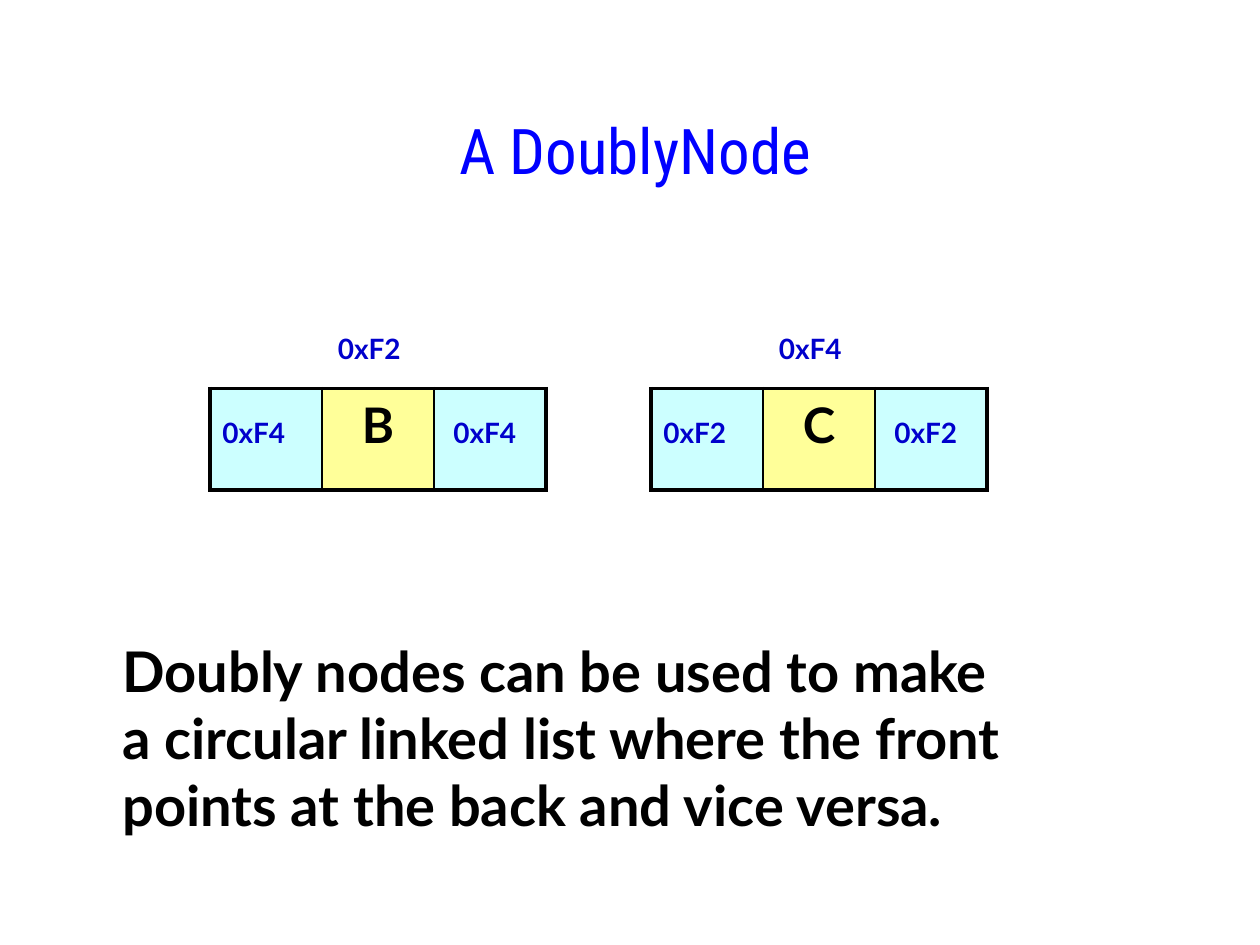
from lxml.etree import SubElement
from pptx import Presentation
from pptx.dml.color import RGBColor
from pptx.enum.text import MSO_AUTO_SIZE, PP_ALIGN
from pptx.oxml.ns import qn
from pptx.util import Pt

TITLE = {"name": "Roboto Condensed", "size": Pt(36), "color": "0000FF"}
ADDRESS = {"name": "Lato", "size": Pt(16), "bold": True, "color": "0000CC"}
VALUE = {"name": "Lato", "size": Pt(28), "bold": True, "color": "000000"}
BODY = {**VALUE, "size": Pt(32)}
CELL_WIDTH, CELL_HEIGHT = 64, 58
THICK, THIN = 2.25, 1


def color(hex_string):
    """Return the colour for a hex string."""
    return RGBColor.from_string(hex_string)


def write_lines(frame, lines, style, alignment=PP_ALIGN.LEFT):
    """Write each line as a paragraph in the given style."""
    for index, line in enumerate(lines):
        paragraph = frame.add_paragraph() if index else frame.paragraphs[0]
        paragraph.alignment = alignment
        run = paragraph.add_run()
        run.text = line
        for attribute, value in style.items():
            if attribute == "color":
                run.font.color.rgb = color(value)
            else:
                setattr(run.font, attribute, value)


def add_text(slide, box, lines, style, alignment=PP_ALIGN.LEFT, wrap=True, grow=True):
    """Add a text box at left, top, width and height in points."""
    frame = slide.shapes.add_textbox(*map(Pt, box)).text_frame
    frame.word_wrap = wrap
    frame.auto_size = MSO_AUTO_SIZE.SHAPE_TO_FIT_TEXT if grow else MSO_AUTO_SIZE.NONE
    write_lines(frame, lines, style, alignment)


def set_borders(cell, widths):
    """Draw black cell borders from a dict of side and width in points."""
    properties = cell._tc.get_or_add_tcPr()
    for side, width in widths.items():
        line = SubElement(properties, qn(f"a:ln{side}"), w=str(Pt(width)))
        fill = SubElement(line, qn("a:solidFill"))
        SubElement(fill, qn("a:srgbClr"), val="000000")


def add_node(slide, left, address, value, neighbour):
    """Add a three-part node with its own address and its two pointers."""
    top = 222
    box = map(Pt, (left, top, 3 * CELL_WIDTH, CELL_HEIGHT))
    table = slide.shapes.add_table(1, 3, *box).table
    table.first_row = table.horz_banding = False
    for index, fill in enumerate(("CCFFFF", "FFFF99", "CCFFFF")):
        table.columns[index].width = Pt(CELL_WIDTH)
        cell = table.cell(0, index)
        set_borders(cell, {
            "L": THICK if index == 0 else THIN,
            "R": THICK if index == 2 else THIN,
            "T": THICK,
            "B": THICK,
        })
        cell.fill.solid()
        cell.fill.fore_color.rgb = color(fill)
    write_lines(table.cell(0, 1).text_frame, [value], VALUE, PP_ALIGN.CENTER)
    labels = ((66, -36, address), (0, 12, neighbour), (132, 12, neighbour))
    for offset, drop, text in labels:
        add_text(slide, (left + offset, top + drop, 78, 26.6), [text], ADDRESS)


def main():
    """Build and save the slide."""
    presentation = Presentation()
    presentation.slide_width, presentation.slide_height = Pt(720), Pt(540)
    slide = presentation.slides.add_slide(presentation.slide_layouts[6])
    add_text(slide, (66, 60, 594, 84), ["A DoublyNode"], TITLE,
             PP_ALIGN.CENTER, wrap=False, grow=False)
    add_node(slide, 120, "0xF2", "B", "0xF4")
    add_node(slide, 372, "0xF4", "C", "0xF2")
    add_text(slide, (62.8, 360, 590.4, 122.4), [
        "Doubly nodes can be used to make",
        "a circular linked list where the front",
        "points at the back and vice versa.",
    ], BODY, wrap=False)
    presentation.save("out.pptx")


if __name__ == "__main__":
    main()
